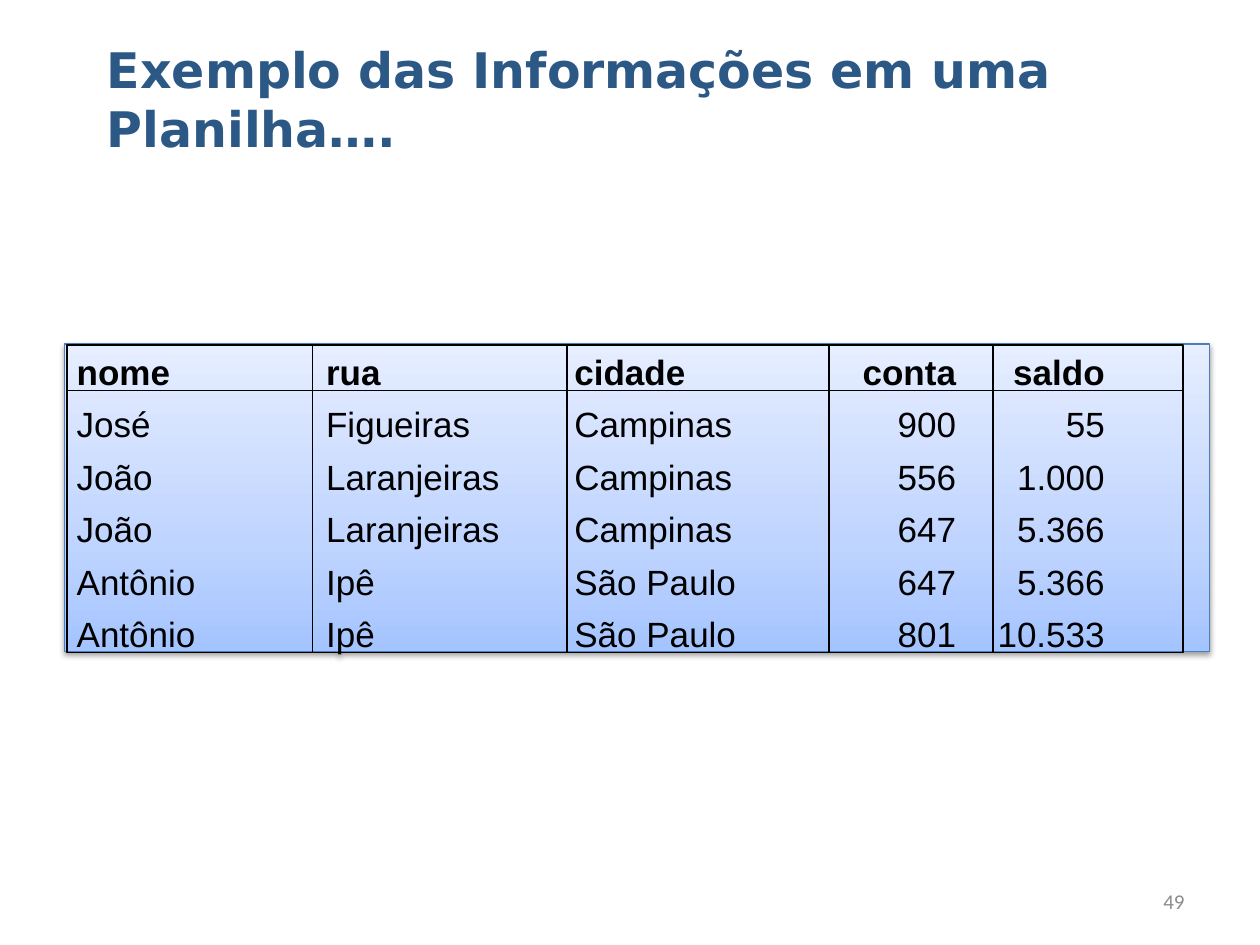
"""Build a slide that shows bank account records as a spreadsheet."""
from lxml import etree
from pptx import Presentation
from pptx.dml.color import RGBColor
from pptx.enum.shapes import MSO_CONNECTOR, MSO_SHAPE
from pptx.enum.text import MSO_ANCHOR, PP_ALIGN
from pptx.oxml import parse_xml
from pptx.oxml.ns import nsdecls, qn
from pptx.util import Inches, Pt

STRAIGHT, RECTANGLE = MSO_CONNECTOR.STRAIGHT, MSO_SHAPE.RECTANGLE
TOP, MIDDLE = MSO_ANCHOR.TOP, MSO_ANCHOR.MIDDLE
LEFT, RIGHT = PP_ALIGN.LEFT, PP_ALIGN.RIGHT

BLACK = RGBColor(0x00, 0x00, 0x00)
GRAY = RGBColor(0x8C, 0x8C, 0x8C)
NAVY = RGBColor(0x2B, 0x58, 0x85)
BORDER = RGBColor(0x4B, 0x7E, 0xBC)
GRADIENT = [(0, "A4C4FF"), (35, "BFD4FF"), (100, "E6EEFF")]

TITLE = ["Exemplo das Informações em uma", "Planilha…."]
PAGE_NUMBER = "49"
HEADER = ["nome", "rua", "cidade", "conta", "saldo"]
RECORDS = [
    ["José", "Figueiras", "Campinas", "900", "55"],
    ["João", "Laranjeiras", "Campinas", "556", "1.000"],
    ["João", "Laranjeiras", "Campinas", "647", "5.366"],
    ["Antônio", "Ipê", "São Paulo", "647", "5.366"],
    ["Antônio", "Ipê", "São Paulo", "801", "10.533"],
]
TAB_STOPS = [(1.98, "l"), (3.95, "l"), (6.98, "r"), (8.16, "r")]
PANEL = (0.51, 2.73, 9.09, 2.44)
FRAME = (0.53, 2.74, 8.86, 2.44)
DIVIDERS = [2.48, 4.5, 6.58, 7.88]
HEADER_RULE = 3.1


def write(shape, lines, font, size, color, bold_lines=0, align=LEFT,
          anchor=MIDDLE, before=0, tabs=()):
    frame = shape.text_frame
    frame.word_wrap = True
    frame.vertical_anchor = anchor
    for index, line in enumerate(lines):
        para = frame.paragraphs[0] if index == 0 else frame.add_paragraph()
        para.alignment = align
        para.space_before = Pt(before)
        span = para.add_run()
        span.text = line
        span.font.name = font
        span.font.size = Pt(size)
        span.font.bold = index < bold_lines
        span.font.color.rgb = color
        if tabs:
            tab_list = etree.SubElement(para._p.get_or_add_pPr(), qn("a:tabLst"))
            for position, kind in tabs:
                etree.SubElement(tab_list, qn("a:tab"),
                                 pos=str(Inches(position)), algn=kind)


def add_text(page, area, lines, **text_format):
    box = page.shapes.add_textbox(*map(Inches, area))
    write(box, lines, **text_format)


def add_rectangle(page, area, color, width):
    box = page.shapes.add_shape(RECTANGLE, *map(Inches, area))
    box.shadow.inherit = False
    box.fill.background()
    box.line.color.rgb = color
    box.line.width = Pt(width)
    return box


def add_line(page, start, end):
    line = page.shapes.add_connector(STRAIGHT, *map(Inches, start + end))
    line.line.color.rgb = BLACK
    line.line.width = Pt(1)
    etree.SubElement(line._element.spPr, qn("a:effectLst"))


def shade(box):
    stops = "".join(
        f'<a:gs pos="{share * 1000}"><a:srgbClr val="{color}"/></a:gs>'
        for share, color in GRADIENT)
    properties = box._element.spPr
    properties.replace(properties.find(qn("a:noFill")), parse_xml(
        f'<a:gradFill {nsdecls("a")} rotWithShape="1"><a:gsLst>{stops}</a:gsLst>'
        '<a:lin ang="16200000" scaled="0"/></a:gradFill>'))
    properties.find(qn("a:effectLst")).append(parse_xml(
        f'<a:outerShdw {nsdecls("a")} blurRad="{Pt(3.1)}" dist="{Pt(1.6)}" '
        'dir="5400000" rotWithShape="0"><a:srgbClr val="000000">'
        '<a:alpha val="38000"/></a:srgbClr></a:outerShdw>'))


def main():
    deck = Presentation()
    deck.slide_width, deck.slide_height = Inches(10), Inches(7.5)
    page = deck.slides.add_slide(deck.slide_layouts[6])

    add_text(page, (7.17, 6.95, 2.33, 0.4), [PAGE_NUMBER],
             font="Calibri", size=12, color=GRAY, align=RIGHT)
    add_text(page, (0.75, 0.28, 9.25, 1), TITLE, font="DejaVu Sans",
             size=28, color=NAVY, bold_lines=len(TITLE))

    panel = add_rectangle(page, PANEL, BORDER, 0.75)
    shade(panel)
    write(panel, ["\t".join(row) for row in [HEADER] + RECORDS], font="Arial",
          size=20, color=BLACK, bold_lines=1, anchor=TOP, before=6,
          tabs=TAB_STOPS)

    add_rectangle(page, FRAME, BLACK, 1)
    left, top, width, height = FRAME
    for x in DIVIDERS:
        add_line(page, (x, top), (x, top + height))
    add_line(page, (left, HEADER_RULE), (left + width, HEADER_RULE))

    deck.save("out.pptx")


if __name__ == "__main__":
    main()
